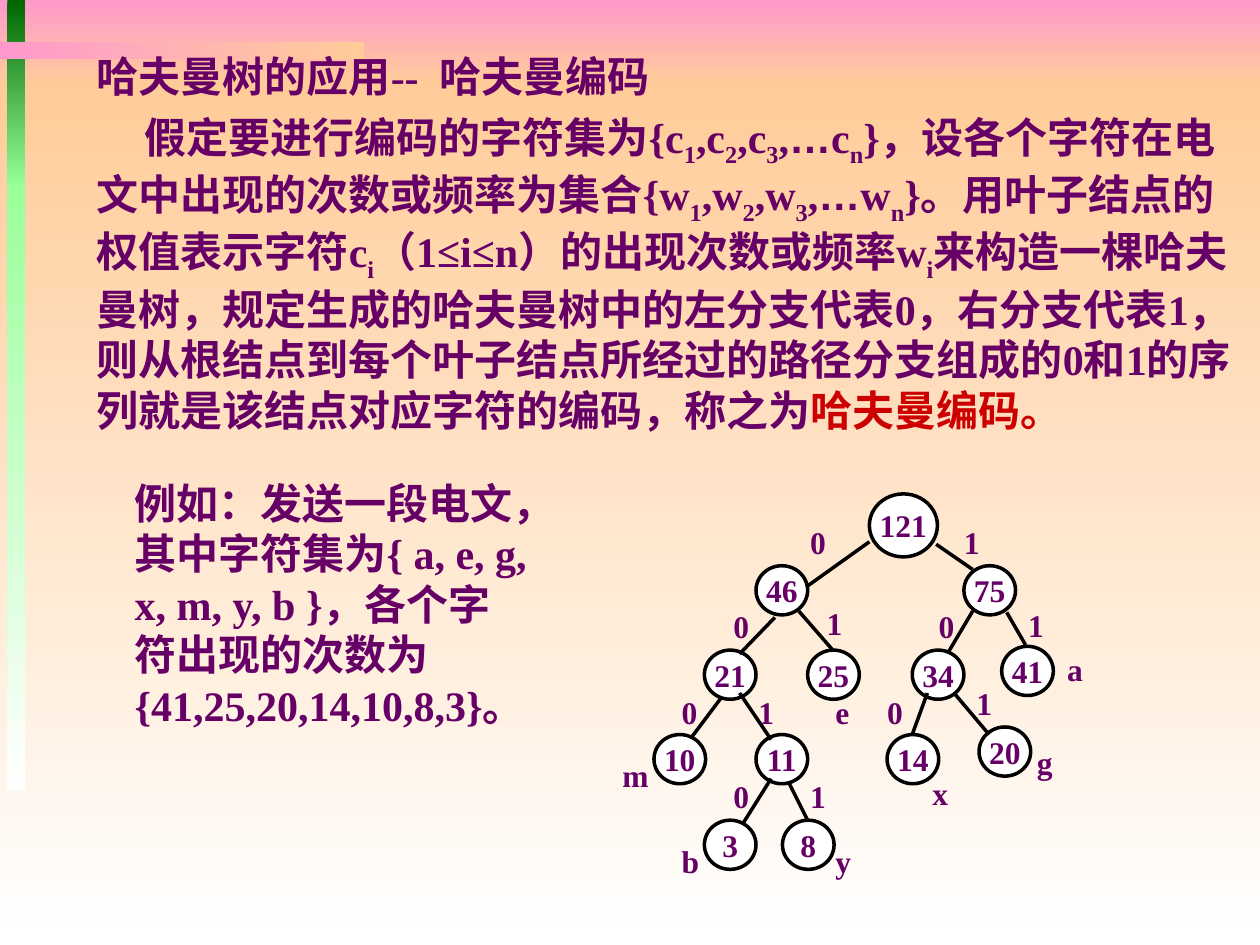
from pptx import Presentation
from pptx.dml.color import RGBColor
from pptx.enum.shapes import MSO_CONNECTOR as Connector, MSO_SHAPE as Shape
from pptx.enum.text import MSO_ANCHOR as Anchor, PP_ALIGN as Align
from pptx.oxml.ns import qn
from pptx.util import Inches, Pt
from lxml.etree import SubElement

COLORS = {
    "pink": "FF99CC", "peach": "FFCC99", "white": "FFFFFF", "black": "000000",
    "forest": "006600", "mint": "99FF99", "purple": "660066", "red": "CC0000",
}
BODY = {"size": Pt(24), "name": "Times New Roman", "bold": True}
SMALL = {**BODY, "size": Pt(18)}
ELLIPSIS = {**BODY, "name": "Arial"}

BANDS = [
    (0, 0, 10, 0.67, "pink", "peach", 270),
    (0, 0.67, 10, 6.83, "peach", "white", 270),
    (0.06, 0, 0.14, 1.48, "forest", "mint", 270),
    (0.06, 1.46, 0.14, 4.81, "mint", "white", 270),
    (0, 0.33, 2.89, 0.14, "pink", "peach", 0),
]
HEADING = "哈夫曼树的应用--  哈夫曼编码"
DEFINITION = [
    ("假定要进行编码的字符集为{c", "1"), (",c", "2"), (",c", "3"),
    (",", ""), ("…", ""), ("c", "n"),
    ("}，设各个字符在电文中出现的次数或频率为集合{w", "1"), (",w", "2"), (",w", "3"),
    (",", ""), ("…", ""), ("w", "n"),
    ("}。用叶子结点的权值表示字符c", "i"),
    ("（1≤i≤n）的出现次数或频率w", "i"),
    ("来构造一棵哈夫曼树，规定生成的哈夫曼树中的左分支代表0，右分支代表1，"
     "则从根结点到每个叶子结点所经过的路径分支组成的0和1的序列就是该结点对应字符的编码，称之为", ""),
]
TERM = "哈夫曼编码。"
EXAMPLE = ("例如：发送一段电文，其中字符集为{ a, e, g, x, m, y, b }，"
           "各个字符出现的次数为{41,25,20,14,10,8,3}。")

ROOT_SIZE = (0.54, 0.5)
NODE_SIZE = (0.41, 0.39)
NODES = [
    ("121", 1.98, 0), ("46", 1.08, 0.57), ("75", 2.73, 0.57),
    ("21", 0.67, 1.24), ("25", 1.49, 1.24), ("34", 2.32, 1.24), ("41", 3.03, 1.21),
    ("10", 0.27, 1.91), ("11", 1.08, 1.91), ("14", 2.12, 1.91), ("20", 2.85, 1.85),
    ("3", 0.67, 2.59), ("8", 1.29, 2.59),
]
BRANCHES = [
    ("0", (1.98, 0.38), (1.49, 0.73), (1.49, 0.23)),
    ("1", (2.51, 0.4), (2.8, 0.6), (2.71, 0.23)),
    ("0", (1.23, 0.98), (0.95, 1.27), (0.88, 0.9)),
    ("1", (1.42, 0.93), (1.69, 1.24), (1.62, 0.87)),
    ("0", (2.8, 0.93), (2.61, 1.25), (2.51, 0.9)),
    ("1", (3.07, 0.94), (3.22, 1.2), (3.22, 0.89)),
    ("0", (0.81, 1.61), (0.57, 1.93), (0.47, 1.58)),
    ("1", (0.95, 1.58), (1.2, 1.95), (1.08, 1.58)),
    ("0", (2.44, 1.58), (2.32, 1.91), (2.1, 1.58)),
    ("1", (2.66, 1.59), (2.93, 1.91), (2.81, 1.51)),
    ("0", (1.2, 2.26), (0.98, 2.61), (0.88, 2.25)),
    ("1", (1.34, 2.29), (1.49, 2.59), (1.49, 2.25)),
]
LEAVES = [
    ("m", 0, 2.08, 0.41), ("b", 0.47, 2.76, 0.2), ("y", 1.69, 2.76, 0.2),
    ("x", 2.46, 2.22, 0.2), ("g", 3.29, 1.98, 0.2), ("a", 3.53, 1.24, 0.2),
    ("e", 1.69, 1.58, 0.2),
]


def rgb(name):
    return RGBColor.from_string(COLORS[name])


def add_run(paragraph, text, style=BODY, color="purple", subscript=False):
    run = paragraph.add_run()
    run.text = text
    for key, value in style.items():
        setattr(run.font, key, value)
    run.font.color.rgb = rgb(color)
    if subscript:
        run.font._element.set("baseline", "-25000")


def set_frame(frame, side=0.1, edge=0.05, wrap=True, anchor=Anchor.TOP):
    settings = {
        "margin_left": Inches(side), "margin_right": Inches(side),
        "margin_top": Inches(edge), "margin_bottom": Inches(edge),
        "word_wrap": wrap, "vertical_anchor": anchor,
    }
    for key, value in settings.items():
        setattr(frame, key, value)


def add_text_area(slide, left, top, width, height, **settings):
    frame = slide.shapes.add_textbox(
        Inches(left), Inches(top), Inches(width), Inches(height)).text_frame
    set_frame(frame, **settings)
    return frame


def add_background(slide, left, top):
    for x, y, width, height, start, end, angle in BANDS:
        band = slide.shapes.add_shape(
            Shape.RECTANGLE, Inches(left + x), Inches(top + y), Inches(width), Inches(height))
        band.shadow.inherit = False
        band.line.fill.background()
        band.fill.gradient()
        band.fill.gradient_angle = angle
        for stop, color, position in zip(band.fill.gradient_stops, (start, end), (0, 1)):
            stop.color.rgb = rgb(color)
            stop.position = position


def add_definition(slide, left, top, width, height):
    frame = add_text_area(slide, left, top, width, height)
    add_run(frame.paragraphs[0], HEADING)
    definition = frame.add_paragraph()
    definition.space_before = Pt(6)
    definition._p.get_or_add_pPr().set("indent", str(Inches(0.38)))
    for text, index in DEFINITION:
        add_run(definition, text, ELLIPSIS if text == "…" else BODY)
        if index:
            add_run(definition, index, subscript=True)
    add_run(definition, TERM, color="red")


def add_example(slide, left, top, width, height):
    frame = add_text_area(slide, left, top, width, height)
    add_run(frame.paragraphs[0], EXAMPLE)


def add_node(slide, weight, left, top, width, height):
    node = slide.shapes.add_shape(
        Shape.OVAL, Inches(left), Inches(top), Inches(width), Inches(height))
    node.shadow.inherit = False
    node.fill.solid()
    node.fill.fore_color.rgb = rgb("white")
    node.line.color.rgb = rgb("black")
    node.line.width = Pt(2)
    set_frame(node.text_frame, side=0, edge=0, wrap=False, anchor=Anchor.MIDDLE)
    paragraph = node.text_frame.paragraphs[0]
    paragraph.alignment = Align.CENTER
    add_run(paragraph, weight, SMALL)


def add_label(slide, text, left, top, width=0.2):
    frame = add_text_area(slide, left, top, width, 0.33, side=0.02, edge=0)
    frame.paragraphs[0].alignment = Align.JUSTIFY
    add_run(frame.paragraphs[0], text, SMALL)


def add_branch(slide, left, top, start, end):
    points = [Inches(origin + offset)
              for point in (start, end) for origin, offset in zip((left, top), point)]
    branch = slide.shapes.add_connector(Connector.STRAIGHT, *points)
    branch.line.color.rgb = rgb("black")
    branch.line.width = Pt(2)
    SubElement(branch._element.spPr, qn("a:effectLst"))


def add_huffman_tree(slide, left, top):
    for weight, x, y in NODES:
        size = ROOT_SIZE if weight == "121" else NODE_SIZE
        add_node(slide, weight, left + x, top + y, *size)
    for bit, start, end, (x, y) in BRANCHES:
        add_branch(slide, left, top, start, end)
        add_label(slide, bit, left + x, top + y)
    for letter, x, y, width in LEAVES:
        add_label(slide, letter, left + x, top + y, width)


def main():
    deck = Presentation()
    deck.slide_width, deck.slide_height = Inches(10), Inches(7.5)
    slide = deck.slides.add_slide(deck.slide_layouts[6])
    add_background(slide, 0, 0)
    add_definition(slide, 0.67, 0.35, 9.33, 3.92)
    add_example(slide, 0.97, 3.74, 3.33, 2.1)
    add_huffman_tree(slide, 4.92, 3.92)
    deck.save("out.pptx")


if __name__ == "__main__":
    main()
